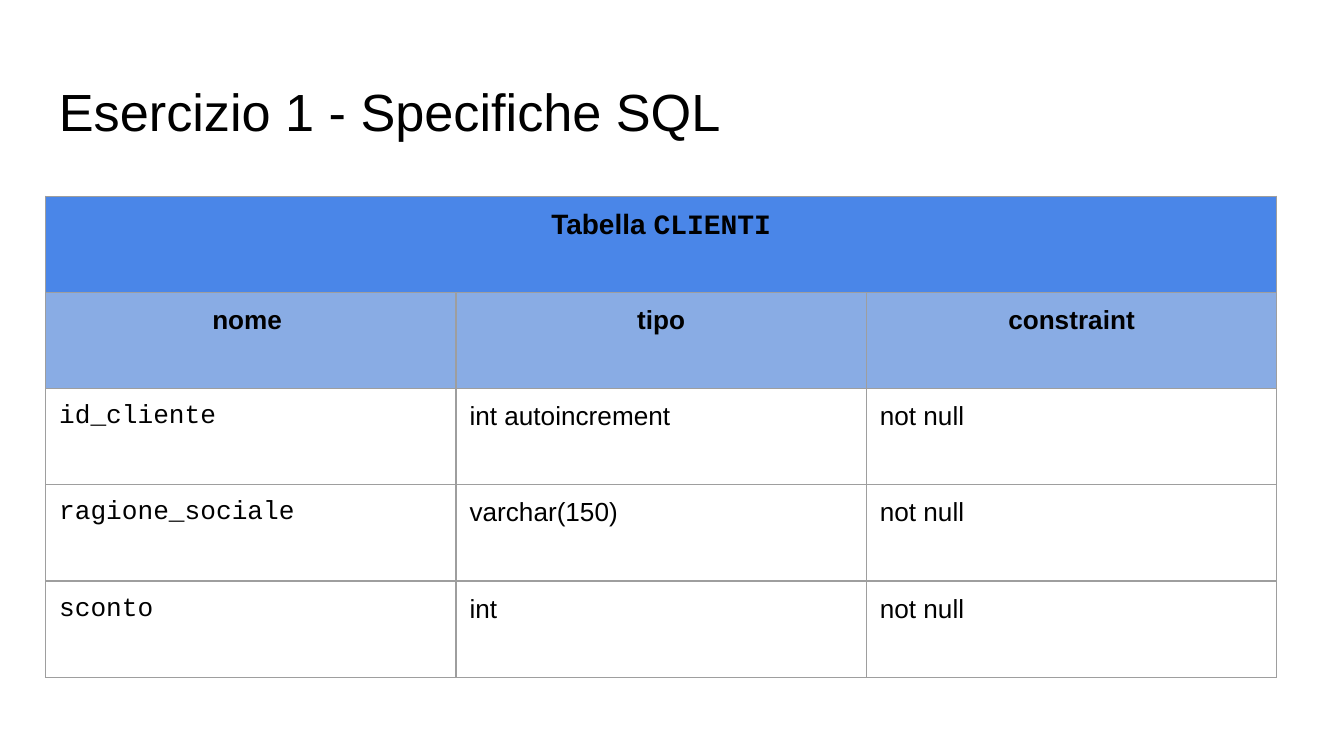
from pptx import Presentation, util as u
from pptx.dml import color
from pptx.enum import text
from pptx.oxml import parse_xml
from pptx.oxml.ns import nsdecls

WIDE = 10
HIGH = WIDE * 9 / 16
SANS, MONO = "Arial", "Courier New"
HEADS = ["nome ", "tipo", "constraint"]
FIELDS = [
    ["id_cliente", "int autoincrement", "not null"],
    ["ragione_sociale", "varchar(150)", "not null "],
    ["sconto", "int", "not null"],
]


def tint(code):
    """Return the colour for a hex string."""
    return color.RGBColor.from_string(code)


def write(para, words, name=SANS, size=14, bold=False):
    """Add one formatted run to a paragraph."""
    run = para.add_run()
    run.text = words
    look = {"name": name, "size": u.Pt(size), "bold": bold}
    for key, value in look.items():
        setattr(run.font, key, value)
    run.font.color.rgb = tint("000000")


def pad(box, gap=0.1):
    """Set the margins of a cell or text frame."""
    for side in ("left", "right", "top", "bottom"):
        setattr(box, "margin_" + side, u.Inches(gap))


def edge(cell, code="9E9E9E", width=0.75):
    """Draw all four borders of a cell."""
    props = cell._tc.get_or_add_tcPr()
    for side in "LRTB":
        props.append(parse_xml(
            f'<a:ln{side} {nsdecls("a")} w="{u.Pt(width)}"><a:solidFill>'
            f'<a:srgbClr val="{code}"/></a:solidFill></a:ln{side}>'))


def style(cell, fill=None):
    """Give a cell its margins, borders and fill."""
    pad(cell)
    edge(cell)
    if fill:
        cell.fill.solid()
        cell.fill.fore_color.rgb = tint(fill)
    else:
        cell.fill.background()


def title(slide, box, words):
    """Place the slide title in its box."""
    frame = slide.shapes.add_textbox(*map(u.Inches, box)).text_frame
    frame.word_wrap = True
    frame.vertical_anchor = text.MSO_ANCHOR.TOP
    pad(frame)
    write(frame.paragraphs[0], words, size=28)


def table(slide, box, label, code, heads, fields):
    """Place a field table with a merged caption row."""
    rows, cols = len(fields) + 2, len(heads)
    grid = slide.shapes.add_table(rows, cols, *map(u.Inches, box)).table
    for flag in ("first_row", "horz_banding"):
        setattr(grid, flag, False)
    for col in grid.columns:
        col.width = u.Inches(box[2] / cols)
    for row in grid.rows:
        row.height = u.Inches(box[3] / rows)
    for r, line in enumerate([[""] * cols, heads, *fields]):
        fill = {0: "4A86E8", 1: "89ACE4"}.get(r)
        for c, words in enumerate(line):
            cell = grid.cell(r, c)
            style(cell, fill)
            para = cell.text_frame.paragraphs[0]
            if r < 2:
                para.alignment = text.PP_ALIGN.CENTER
            if words:
                name = MONO if r > 1 and c == 0 else SANS
                write(para, words, name, bold=r == 1)
    top = grid.cell(0, 0)
    top.merge(grid.cell(0, cols - 1))
    para = top.text_frame.paragraphs[0]
    write(para, label + " ", size=15, bold=True)
    write(para, code, MONO, 15, True)


deck = Presentation()
deck.slide_width, deck.slide_height = u.Inches(WIDE), u.Inches(HIGH)
page = deck.slides.add_slide(deck.slide_layouts[6])
title(page, (0.34, 0.49, 9.32, 0.63), "Esercizio 1 - Specifiche SQL")
table(page, (0.34, 1.46, 9.16, 3.58), "Tabella", "CLIENTI", HEADS, FIELDS)
deck.save("out.pptx")
